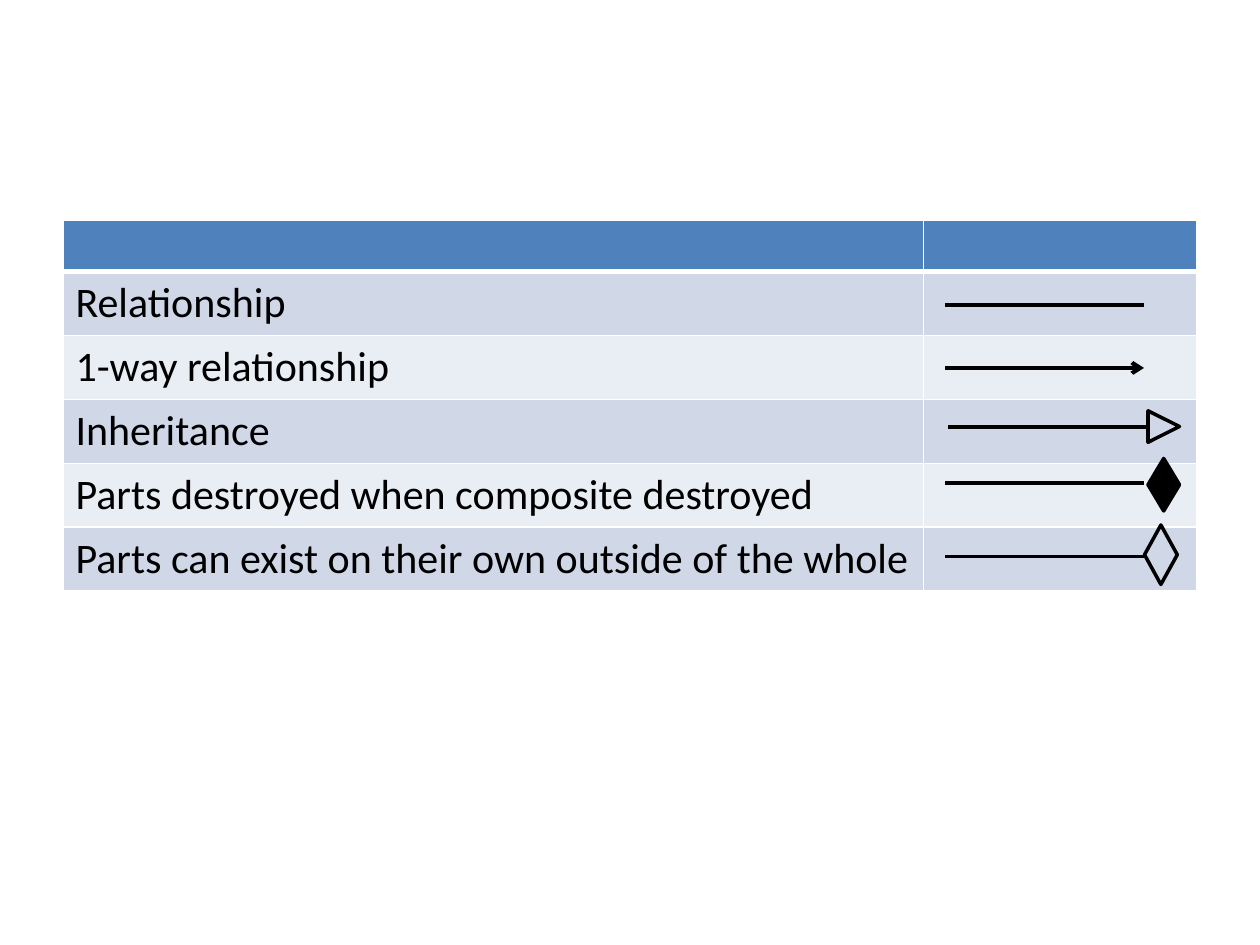
from lxml import etree
from pptx import Presentation
from pptx.dml.color import RGBColor
from pptx.enum.shapes import MSO_CONNECTOR, MSO_SHAPE
from pptx.oxml.ns import qn
from pptx.util import Pt

STRAIGHT = MSO_CONNECTOR.STRAIGHT
TRIANGLE = MSO_SHAPE.ISOSCELES_TRIANGLE
DIAMOND = MSO_SHAPE.DIAMOND

BLACK = RGBColor(0x00, 0x00, 0x00)
WHITE = RGBColor(0xFF, 0xFF, 0xFF)
HEADER = RGBColor(0x4F, 0x81, 0xBD)
BANDS = [RGBColor(0xE9, 0xED, 0xF4), RGBColor(0xD0, 0xD8, 0xE8)]

LABELS = [
    "",
    "Relationship",
    "1-way relationship",
    "Inheritance",
    "Parts destroyed when composite destroyed",
    "Parts can exist on their own outside of the whole",
]
COL_WIDTHS = [491.75, 156.25]
ROW_HEIGHT = 29.2
LINE_LENGTH = 113.75


def add_border(cell, side, width):
    ln = etree.SubElement(cell._tc.get_or_add_tcPr(), qn(f"a:ln{side}"), w=str(Pt(width)))
    fill = etree.SubElement(ln, qn("a:solidFill"))
    etree.SubElement(fill, qn("a:srgbClr"), val=str(WHITE))


prs = Presentation()
prs.slide_width, prs.slide_height = Pt(720), Pt(540)
s = prs.slides.add_slide(prs.slide_layouts[6])

# Relationship table
table = s.shapes.add_table(len(LABELS), 2, Pt(36), Pt(126), Pt(sum(COL_WIDTHS)),
                           Pt(ROW_HEIGHT * len(LABELS))).table
for col, width in zip(table.columns, COL_WIDTHS):
    col.width = Pt(width)
for i, label in enumerate(LABELS):
    for cell in table.rows[i].cells:
        widths = {"L": 1, "R": 1, "T": 3 if i == 1 else 1, "B": 3 if i == 0 else 1}
        for side, width in widths.items():
            add_border(cell, side, width)
        cell.fill.solid()
        cell.fill.fore_color.rgb = BANDS[i % 2] if i else HEADER
    if label:
        r = table.cell(i, 0).text_frame.paragraphs[0].add_run()
        r.text = label
        for name, value in {"size": Pt(24), "name": "Calibri"}.items():
            setattr(r.font, name, value)
        r.font.color.rgb = BLACK

# Notation lines: left, y, arrowhead
for x, y, arrow in [
    (540, 174.25, False),
    (540, 210.25, True),
    (542, 244, False),
    (540, 276, False),
    (540, 318, False),
]:
    line = s.shapes.add_connector(STRAIGHT, Pt(x), Pt(y), Pt(x + LINE_LENGTH), Pt(y))
    line.line.color.rgb = BLACK
    line.line.width = Pt(2.25)
    if arrow:
        etree.SubElement(line.line._get_or_add_ln(), qn("a:tailEnd"), type="arrow")
    etree.SubElement(line._element.spPr, qn("a:effectLst"))

# Line ends: shape, left, top, width, height, rotation, filled
for kind, x, y, w, h, rotation, filled in [
    (TRIANGLE, 656, 234.75, 18, 18, 90, False),
    (DIAMOND, 656, 262, 18, 30, 0, True),
    (DIAMOND, 654, 300, 18.75, 34, 0, False),
]:
    sp = s.shapes.add_shape(kind, Pt(x), Pt(y), Pt(w), Pt(h))
    sp.shadow.inherit = False
    sp.rotation = rotation
    if filled:
        sp.fill.solid()
        sp.fill.fore_color.rgb = BLACK
    else:
        sp.fill.background()
    sp.line.color.rgb = BLACK
    sp.line.width = Pt(2)

prs.save("out.pptx")
